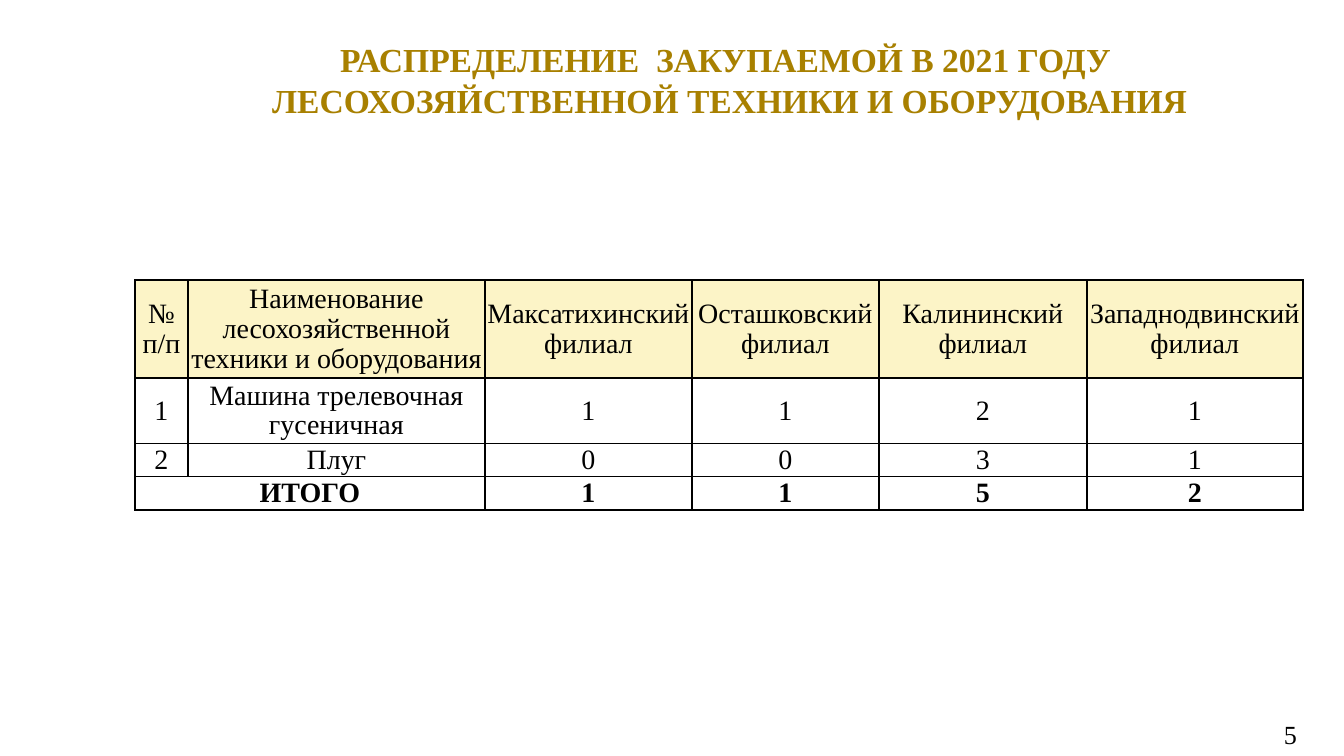
"""Build a slide with the table of forestry machinery bought in 2021, by branch."""
from lxml.etree import SubElement
from pptx import Presentation
from pptx.dml.color import RGBColor
from pptx.enum.text import MSO_ANCHOR as Anchor, PP_ALIGN as Align
from pptx.oxml.ns import qn
from pptx.util import Pt

PX = 914400 / 134.4
FONT = "Times New Roman"


def px(n):
    return round(n * PX)


def style(p, size, color, align, bold=False):
    p.alignment = align
    for r in p.runs:
        r.font.name, r.font.size, r.font.bold = FONT, Pt(size), bold
        r.font.color.rgb = RGBColor.from_string(color)


prs = Presentation()
prs.slide_width, prs.slide_height = px(1344), px(756)
s = prs.slides.add_slide(prs.slide_layouts[5])

title = s.shapes.title
title.left, title.top, title.width, title.height = px(136), px(36), px(1188), px(86)
tf = title.text_frame
tf.word_wrap = True
tf.vertical_anchor = Anchor.MIDDLE
tf.margin_left = tf.margin_right = px(9)
tf.margin_top = tf.margin_bottom = px(5)
tf.text = "РАСПРЕДЕЛЕНИЕ  ЗАКУПАЕМОЙ В 2021 ГОДУ \nЛЕСОХОЗЯЙСТВЕННОЙ ТЕХНИКИ И ОБОРУДОВАНИЯ"
for p in tf.paragraphs:
    style(p, 18, "A88000", Align.CENTER, True)
    p.line_spacing = 1.03

number = s.shapes.add_textbox(px(993), px(713), px(313), px(43))
tf = number.text_frame
tf.word_wrap = True
tf.vertical_anchor = Anchor.MIDDLE
tf.margin_left = tf.margin_right = px(9)
tf.margin_top = tf.margin_bottom = px(5)
tf.text = "5"
style(tf.paragraphs[0], 14, "000000", Align.RIGHT)

rows = [
    ["№ п/п", "Наименование лесохозяйственной техники и оборудования",
     "Максатихинский филиал", "Осташковский филиал",
     "Калининский филиал", "Западнодвинский филиал"],
    ["1", "Машина трелевочная гусеничная", "1", "1", "2", "1"],
    ["2", "Плуг", "0", "0", "3", "1"],
    ["ИТОГО", "", "1", "1", "5", "2"],
]
widths = [53, 297, 207, 187, 208, 216]
heights = [95, 63, 32, 32]
table = s.shapes.add_table(len(rows), len(widths), px(135), px(280),
                           px(sum(widths)), px(sum(heights))).table
for column, width in zip(table.columns, widths):
    column.width = px(width)
for row, height in zip(table.rows, heights):
    row.height = px(height)

for i, row in enumerate(rows):
    for j, text in enumerate(row):
        cell = table.cell(i, j)
        cell.margin_left = cell.margin_right = cell.margin_top = px(1)
        cell.margin_bottom = 0
        cell.vertical_anchor = Anchor.MIDDLE
        cell.text = text
        p = cell.text_frame.paragraphs[0]
        style(p, 15, "000000", Align.CENTER, i == len(rows) - 1)
        p.line_spacing = 0.96
        tcPr = cell._tc.get_or_add_tcPr()
        for side in ("lnL", "lnR", "lnT", "lnB"):
            ln = SubElement(tcPr, qn(f"a:{side}"), w=str(Pt(1)))
            fill = SubElement(ln, qn("a:solidFill"))
            SubElement(fill, qn("a:srgbClr"), val="000000")
        if i == 0:
            cell.fill.solid()
            cell.fill.fore_color.rgb = RGBColor.from_string("FCF4C7")
        else:
            cell.fill.background()
table.cell(3, 0).merge(table.cell(3, 1))

prs.save("out.pptx")
